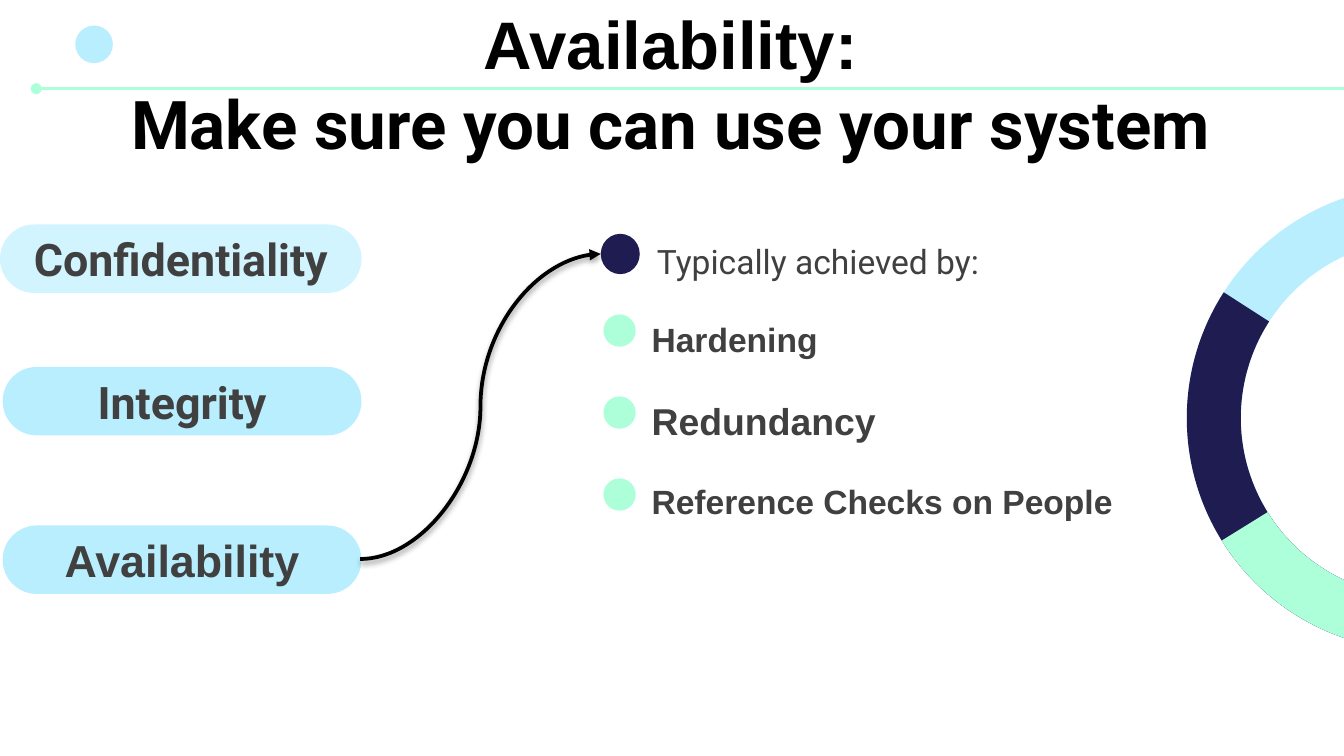
from dataclasses import dataclass

from lxml.etree import SubElement
from pptx import Presentation
from pptx.dml.color import RGBColor
from pptx.enum.shapes import MSO_CONNECTOR, MSO_SHAPE
from pptx.enum.text import MSO_ANCHOR, MSO_AUTO_SIZE, PP_ALIGN
from pptx.oxml.ns import qn
from pptx.shapes.autoshape import Shape
from pptx.shapes.connector import Connector
from pptx.slide import Slide
from pptx.text.text import TextFrame
from pptx.util import Inches, Pt


@dataclass(frozen=True)
class Theme:
    black: str = "000000"
    gray: str = "404040"
    navy: str = "1F1C51"
    mint: str = "ACFFD9"
    sky: str = "B9EEFF"
    pale_sky: str = "D1F4FF"
    title_size: int = 36
    pill_size: int = 24
    large_size: int = 20
    body_size: int = 18
    sans: str = "Arial"
    display: str = "Roboto"


THEME = Theme()


@dataclass(frozen=True)
class Box:
    left: float
    top: float
    width: float
    height: float


@dataclass(frozen=True)
class Line:
    text: str
    font: str
    size: int
    color: str = THEME.gray
    bold: bool = True


@dataclass(frozen=True)
class Pill:
    box: Box
    color: str
    line: Line


@dataclass(frozen=True)
class Measure:
    top: float
    height: float
    line: Line


@dataclass(frozen=True)
class RingPart:
    end_degrees: float
    color: str


RING = Box(8.83, 1.38, 3.46, 3.46)
RING_START_DEGREES = 269.57
RING_THICKNESS = 0.116
RING_PARTS = [
    RingPart(90.9, THEME.sky),
    RingPart(32.73, THEME.navy),
    RingPart(328.18, THEME.mint),
]
TITLE = [
    Line("Availability:", THEME.sans, THEME.title_size, THEME.black),
    Line("Make sure you can use your system", THEME.display, THEME.title_size, THEME.black),
]
PILLS = [
    Pill(Box(0, 1.67, 2.69, 0.51), THEME.pale_sky,
         Line("Confidentiality", THEME.display, THEME.pill_size)),
    Pill(Box(0.02, 2.73, 2.67, 0.51), THEME.sky,
         Line("Integrity", THEME.display, THEME.pill_size)),
    Pill(Box(0.02, 3.91, 2.67, 0.51), THEME.sky,
         Line("Availability", THEME.sans, THEME.pill_size)),
]
MEASURES = [
    Measure(2.32, 0.4, Line("Hardening", THEME.sans, THEME.body_size)),
    Measure(2.91, 0.44, Line("Redundancy", THEME.sans, THEME.large_size)),
    Measure(3.53, 0.4, Line("Reference Checks on People", THEME.sans, THEME.body_size)),
]
DOT_TOP, DOT_STEP = 2.34, 0.61


def add_filled(slide: Slide, kind: MSO_SHAPE, box: Box, color: str) -> Shape:
    shape = slide.shapes.add_shape(
        kind, Inches(box.left), Inches(box.top), Inches(box.width), Inches(box.height))
    shape.shadow.inherit = False
    shape.fill.solid()
    shape.fill.fore_color.rgb = RGBColor.from_string(color)
    shape.line.fill.background()
    return shape


def write_lines(frame: TextFrame, lines: list[Line], alignment: PP_ALIGN) -> None:
    frame.word_wrap = True
    frame.vertical_anchor = MSO_ANCHOR.MIDDLE
    for index, line in enumerate(lines):
        paragraph = frame.add_paragraph() if index else frame.paragraphs[0]
        paragraph.alignment = alignment
        run = paragraph.add_run()
        run.text = line.text
        run.font.name = line.font
        run.font.size = Pt(line.size)
        run.font.bold = line.bold
        run.font.color.rgb = RGBColor.from_string(line.color)


def add_text(slide: Slide, box: Box, lines: list[Line],
             alignment: PP_ALIGN = PP_ALIGN.LEFT) -> None:
    text_box = slide.shapes.add_textbox(
        Inches(box.left), Inches(box.top), Inches(box.width), Inches(box.height))
    write_lines(text_box.text_frame, lines, alignment)
    text_box.text_frame.auto_size = MSO_AUTO_SIZE.SHAPE_TO_FIT_TEXT


def add_line(slide: Slide, kind: MSO_CONNECTOR, start: tuple[float, float],
             end: tuple[float, float], color: str, width: float,
             end_tag: str, end_type: str) -> Connector:
    """Draw a connector; end_tag is a:headEnd or a:tailEnd."""
    connector = slide.shapes.add_connector(kind, *map(Inches, start + end))
    connector.line.color.rgb = RGBColor.from_string(color)
    connector.line.width = Pt(width)
    SubElement(connector.line._get_or_add_ln(), qn(end_tag), type=end_type)
    SubElement(connector._element.spPr, qn("a:effectLst"))
    return connector


def add_soft_shadow(connector: Connector) -> None:
    effects = connector._element.spPr.find(qn("a:effectLst"))
    shadow = SubElement(effects, qn("a:outerShdw"), blurRad=str(Pt(3.1)),
                        dist=str(Pt(1.6)), dir="5400000", rotWithShape="0")
    color = SubElement(shadow, qn("a:srgbClr"), val=THEME.black)
    SubElement(color, qn("a:alpha"), val="38000")


def add_ring(slide: Slide) -> None:
    for part in RING_PARTS:
        arc = add_filled(slide, MSO_SHAPE.BLOCK_ARC, RING, part.color)
        arc.rotation = 180
        # Angles are stored in 60000ths of a degree, adjustments in 100000ths.
        arc.adjustments[0] = RING_START_DEGREES * 0.6
        arc.adjustments[1] = part.end_degrees * 0.6
        arc.adjustments[2] = RING_THICKNESS


def add_pill(slide: Slide, pill: Pill) -> None:
    shape = add_filled(slide, MSO_SHAPE.ROUNDED_RECTANGLE, pill.box, pill.color)
    shape.adjustments[0] = 0.5
    write_lines(shape.text_frame, [pill.line], PP_ALIGN.CENTER)


def main() -> None:
    presentation = Presentation()
    presentation.slide_width = Inches(10)
    presentation.slide_height = Inches(10 * 9 / 16)
    slide = presentation.slides.add_slide(presentation.slide_layouts[6])

    add_line(slide, MSO_CONNECTOR.STRAIGHT, (0.27, 0.66), (10.1, 0.66),
             THEME.mint, 1.5, "a:headEnd", "oval")
    add_ring(slide)
    add_text(slide, Box(0, -0.04, 9.98, 1.31), TITLE, PP_ALIGN.CENTER)
    add_filled(slide, MSO_SHAPE.OVAL, Box(0.56, 0.19, 0.28, 0.28), THEME.sky)

    for index, measure in enumerate(MEASURES):
        add_text(slide, Box(4.75, measure.top, 3.93, measure.height), [measure.line])
        dot = Box(4.49, DOT_TOP + index * DOT_STEP, 0.24, 0.24)
        add_filled(slide, MSO_SHAPE.OVAL, dot, THEME.mint)

    for pill in PILLS:
        add_pill(slide, pill)

    add_filled(slide, MSO_SHAPE.OVAL, Box(4.47, 1.74, 0.29, 0.3), THEME.navy)
    heading = Line("Typically achieved by:", THEME.display, THEME.body_size, bold=False)
    add_text(slide, Box(4.79, 1.74, 3.93, 0.4), [heading])
    arrow = add_line(slide, MSO_CONNECTOR.CURVE, (2.68, 4.16), (4.47, 1.89),
                     THEME.black, 2, "a:tailEnd", "triangle")
    add_soft_shadow(arrow)

    presentation.save("out.pptx")


if __name__ == "__main__":
    main()
